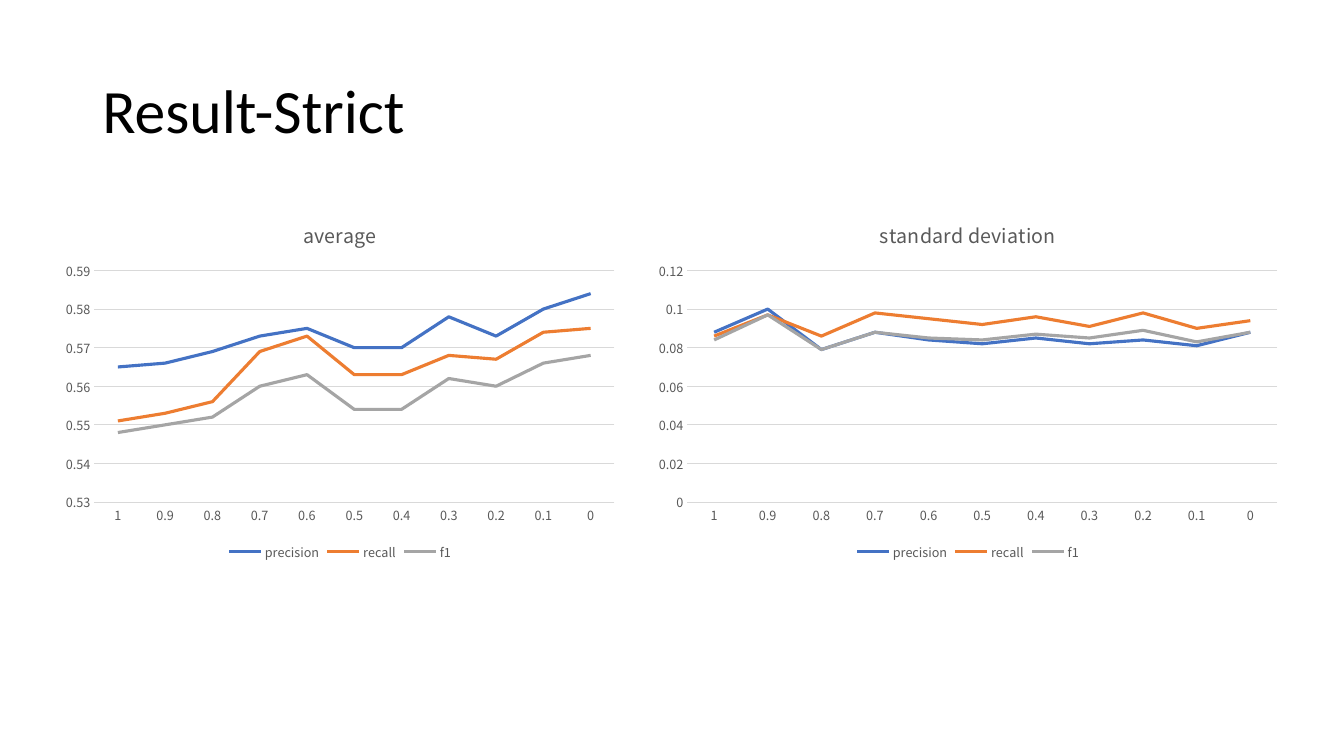
import dataclasses

import pptx
import pptx.chart.data
import pptx.dml.color
import pptx.enum.chart
import pptx.enum.text
import pptx.util

Cm = pptx.util.Cm
Pt = pptx.util.Pt


def color(value):
    return pptx.dml.color.RGBColor.from_string(value)


def apply(target, **values):
    for name, value in values.items():
        setattr(target, name, value)


@dataclasses.dataclass(frozen=True)
class Theme:
    title_font: str = "Calibri"
    chart_font: str = "Noto Sans CJK SC"
    title_color: str = "000000"
    label_color: str = "595959"
    grid_color: str = "D9D9D9"
    series_colors: tuple = ("4472C4", "ED7D31", "A5A5A5")
    title_size: float = 44
    chart_title_size: float = 14
    label_size: float = 9
    grid_width: float = 0.75
    series_width: float = 2.25


class SlideBuilder:
    def __init__(self, slide, theme):
        self.slide = slide
        self.theme = theme

    def style_font(self, font, name, size, font_color):
        apply(font, name=name, size=Pt(size), bold=False)
        font.color.rgb = color(font_color)

    def style_label(self, font, size=None):
        theme = self.theme
        self.style_font(font, theme.chart_font, size or theme.label_size, theme.label_color)

    def style_line(self, line, line_color, width):
        line.color.rgb = color(line_color)
        line.width = Pt(width)

    def add_title(self, text, left, top, width, height):
        text_frame = self.slide.shapes.add_textbox(left, top, width, height).text_frame
        apply(text_frame, word_wrap=True,
              vertical_anchor=pptx.enum.text.MSO_ANCHOR.MIDDLE)
        paragraph = text_frame.paragraphs[0]
        paragraph.line_spacing = 0.9
        run = paragraph.add_run()
        run.text = text
        theme = self.theme
        self.style_font(run.font, theme.title_font, theme.title_size, theme.title_color)

    def add_line_chart(self, title, categories, series_values, scale, left, top, width, height):
        theme = self.theme
        chart_data = pptx.chart.data.CategoryChartData()
        chart_data.categories = categories
        for name, values in series_values.items():
            chart_data.add_series(name, values)
        chart = self.slide.shapes.add_chart(
            pptx.enum.chart.XL_CHART_TYPE.LINE, left, top, width, height, chart_data
        ).chart
        self.style_label(chart.font)

        apply(chart, has_title=True, has_legend=True)
        chart.chart_title.include_in_layout = False
        paragraph = chart.chart_title.text_frame.paragraphs[0]
        run = paragraph.add_run()
        run.text = title
        self.style_label(run.font, theme.chart_title_size)
        apply(chart.legend, include_in_layout=False,
              position=pptx.enum.chart.XL_LEGEND_POSITION.BOTTOM)
        self.style_label(chart.legend.font)

        for axis in (chart.category_axis, chart.value_axis):
            apply(axis, major_tick_mark=pptx.enum.chart.XL_TICK_MARK.NONE,
                  minor_tick_mark=pptx.enum.chart.XL_TICK_MARK.NONE)
            self.style_label(axis.tick_labels.font)
        self.style_line(chart.category_axis.format.line, theme.grid_color, theme.grid_width)
        value_axis = chart.value_axis
        apply(value_axis, has_major_gridlines=True, **scale)
        apply(value_axis.tick_labels, number_format="General", number_format_is_linked=False)
        value_axis.format.line.fill.background()
        self.style_line(value_axis.major_gridlines.format.line, theme.grid_color, theme.grid_width)

        plot = chart.plots[0]
        plot.vary_by_categories = False
        for series, series_color in zip(plot.series, theme.series_colors):
            series.smooth = False
            series.marker.style = pptx.enum.chart.XL_MARKER_STYLE.NONE
            self.style_line(series.format.line, series_color, theme.series_width)


CATEGORIES = [f"{step / 10:g}" for step in range(10, -1, -1)]
AVERAGE = {
    "precision": (0.565, 0.566, 0.569, 0.573, 0.575, 0.57, 0.57, 0.578, 0.573, 0.58, 0.584),
    "recall": (0.551, 0.553, 0.556, 0.569, 0.573, 0.563, 0.563, 0.568, 0.567, 0.574, 0.575),
    "f1": (0.548, 0.55, 0.552, 0.56, 0.563, 0.554, 0.554, 0.562, 0.56, 0.566, 0.568),
}
DEVIATION = {
    "precision": (0.088, 0.1, 0.079, 0.088, 0.084, 0.082, 0.085, 0.082, 0.084, 0.081, 0.088),
    "recall": (0.086, 0.097, 0.086, 0.098, 0.095, 0.092, 0.096, 0.091, 0.098, 0.09, 0.094),
    "f1": (0.084, 0.097, 0.079, 0.088, 0.085, 0.084, 0.087, 0.085, 0.089, 0.083, 0.088),
}
CHARTS = (
    ("average", AVERAGE,
     {"minimum_scale": 0.53, "maximum_scale": 0.59, "major_unit": 0.01}, 1.37, 14.4),
    ("standard deviation", DEVIATION,
     {"minimum_scale": 0, "maximum_scale": 0.12, "major_unit": 0.02}, 16.28, 16.23),
)

presentation = pptx.Presentation()
apply(presentation, slide_width=Cm(33.87), slide_height=Cm(19.05))
builder = SlideBuilder(presentation.slides.add_slide(presentation.slide_layouts[6]), Theme())
builder.add_title("Result-Strict", Cm(2.33), Cm(1.01), Cm(29.21), Cm(3.68))
for title, series_values, scale, left, width in CHARTS:
    builder.add_line_chart(title, CATEGORIES, series_values, scale,
                           Cm(left), Cm(5.08), Cm(width), Cm(9.14))
presentation.save("out.pptx")
